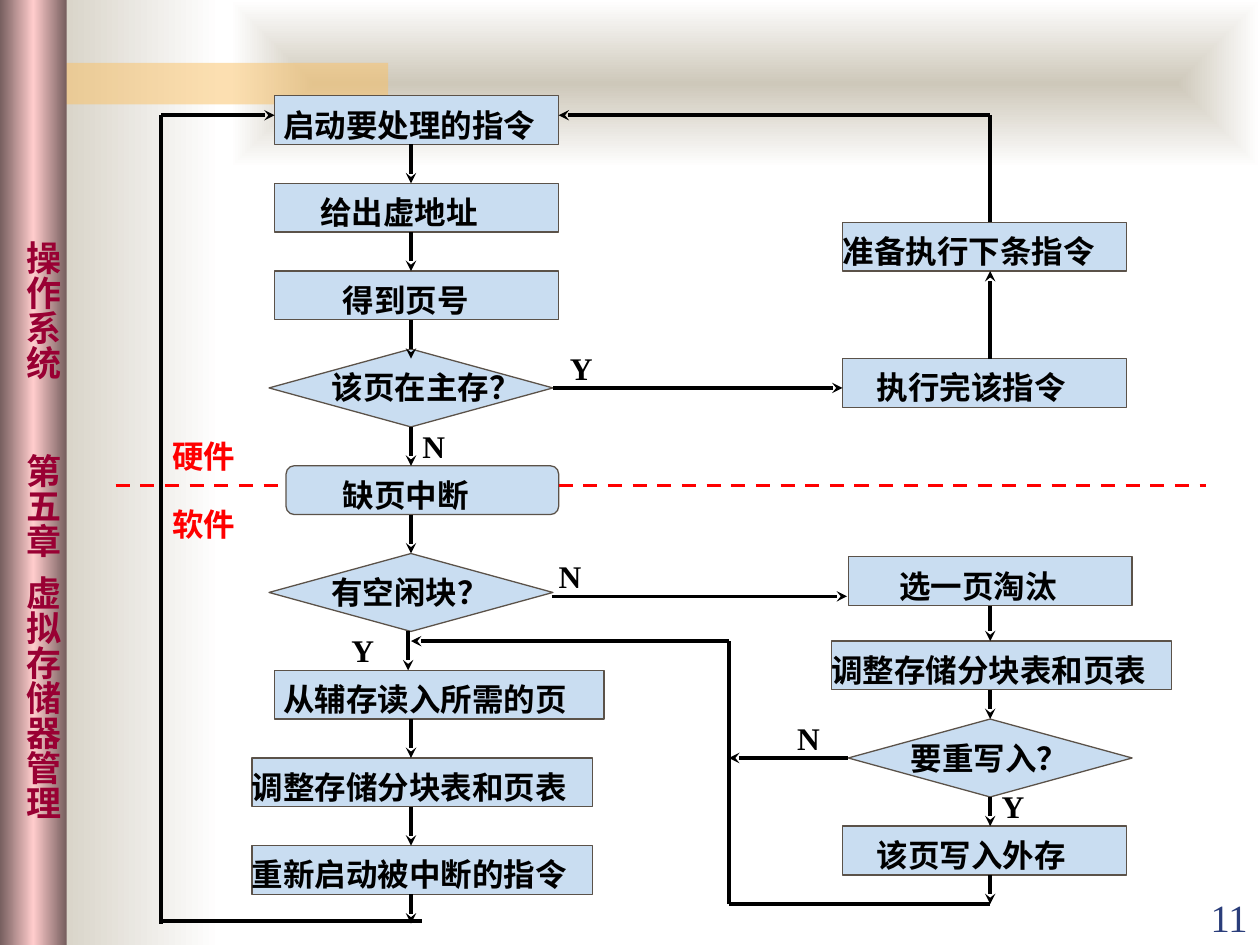
from lxml import etree
from pptx import Presentation
from pptx.dml.color import RGBColor
from pptx.enum.dml import MSO_LINE
from pptx.enum.shapes import MSO_CONNECTOR, MSO_SHAPE
from pptx.enum.text import MSO_ANCHOR, PP_ALIGN
from pptx.oxml.ns import qn
from pptx.util import Inches, Pt

WIDTH, HEIGHT = 10, 7.5
LEFT, TOP = 2, 0.76
COLUMN, ROW = 6.76 / 75, 6.57 / 85
BOX_ROWS, DIAMOND_ROWS = 5, 8
PROCESS = MSO_SHAPE.FLOWCHART_PROCESS
DECISION = MSO_SHAPE.FLOWCHART_DECISION
ALTERNATE = MSO_SHAPE.FLOWCHART_ALTERNATE_PROCESS
RECTANGLE = MSO_SHAPE.RECTANGLE
STRAIGHT = MSO_CONNECTOR.STRAIGHT
DASH = MSO_LINE.DASH
ANCHOR_TOP, ANCHOR_BOTTOM = MSO_ANCHOR.TOP, MSO_ANCHOR.BOTTOM
ALIGN_LEFT, ALIGN_RIGHT = PP_ALIGN.LEFT, PP_ALIGN.RIGHT
SITE_TOP, SITE_LEFT, SITE_BOTTOM, SITE_RIGHT = range(4)
SERIF, EAST_ASIAN = "Times New Roman", "Noto Sans CJK SC"
BLACK, RED, BLUE, BROWN = "000000", "FF0000", "C9DDF1", "5B5249"
LABEL_FORMAT = {"size": Pt(18), "name": SERIF, "bold": True}
SIDEBAR_FORMAT = {"size": Pt(20), "name": EAST_ASIAN, "bold": True}
NUMBER_FORMAT = {"size": Pt(22), "name": SERIF}

NODES = [
    ("start", PROCESS, 2, 0, 25, "启动要处理的指令", 2.75),
    ("address", PROCESS, 2, 9, 25, "给出虚地址", 6),
    ("page", PROCESS, 2, 18, 25, "得到页号", 8),
    ("in_memory", DECISION, 1.5, 26, 25, "该页在主存？", 7),
    ("fault", ALTERNATE, 3, 38, 24, "缺页中断", 8),
    ("free_block", DECISION, 1.5, 47, 25, "有空闲块？", 7),
    ("read_page", PROCESS, 2, 59, 29, "从辅存读入所需的页", 2.75),
    ("update_tables", PROCESS, 0, 68, 30, "调整存储分块表和页表", 0),
    ("restart", PROCESS, 0, 77, 30, "重新启动被中断的指令", 0),
    ("next", PROCESS, 52, 13, 25, "准备执行下条指令", 52),
    ("execute", PROCESS, 52, 27, 25, "执行完该指令", 55),
    ("evict", PROCESS, 52.5, 47.35, 25, "选一页淘汰", 57),
    ("evict_tables", PROCESS, 51, 56, 30, "调整存储分块表和页表", 51),
    ("rewrite", DECISION, 52.5, 64, 25, "要重写入？", 58),
    ("write_out", PROCESS, 52, 75, 25, "该页写入外存", 55),
]

ARROWS = [
    ((-8, 2), (2, 2)),
    ((14, 5), (14, 9)),
    ((14, 14), (14, 18)),
    ((14, 23), (14, 27)),
    (("in_memory", SITE_BOTTOM), (14, 38)),
    ((14, 43), ("free_block", SITE_TOP)),
    ((13.75, 55), (13.75, 59)),
    ((14, 64), (14, 68)),
    ((14, 73), (14, 77)),
    ((14, 82), (14, 85)),
    (("in_memory", SITE_RIGHT), (52, 30)),
    ((65, 27), (65, 18)),
    ((65, 2), (27, 2)),
    ((26.4, 51.4), (52.4, 51.4)),
    (("evict", SITE_BOTTOM), (65, 56)),
    ((65, 61), ("rewrite", SITE_TOP)),
    (("rewrite", SITE_LEFT), (42, 68)),
    (("rewrite", SITE_BOTTOM), (65, 75)),
    ((65, 80), (65, 83)),
    ((42, 56), (14, 56)),
]

LINES = [
    ((-8, 84.75), (15, 84.75)),
    ((-8, 85), (-8, 2)),
    ((65, 13), (65, 2)),
    ((42, 83), (65, 83)),
    ((42, 83), (42, 56)),
]

BORDERS = [((-12, 40), (3, 40)), ((27, 40), (84, 40))]

LABELS = [
    ("Y", 28, 26, BLACK), ("N", 15, 34, BLACK), ("Y", 8.75, 55, BLACK),
    ("N", 27, 47.35, BLACK), ("N", 48, 64, BLACK), ("Y", 66, 71, BLACK),
    ("硬件", -7, 35, RED), ("软件", -7, 42, RED),
]


def color(value):
    return RGBColor.from_string(value)


def grid(column, row):
    return Inches(LEFT + column * COLUMN), Inches(TOP + row * ROW)


def set_values(target, values):
    for name, value in values.items():
        setattr(target, name, value)


def write(shape, text, font_color, font_format, align=ALIGN_LEFT,
          anchor=ANCHOR_TOP, insets=(0, 0, 0, 0)):
    frame = shape.text_frame
    sides = ("margin_left", "margin_top", "margin_right", "margin_bottom")
    set_values(frame, dict(zip(sides, map(Inches, insets))))
    set_values(frame, {"word_wrap": True, "vertical_anchor": anchor})
    paragraph = frame.paragraphs[0]
    paragraph.alignment = align
    run = paragraph.add_run()
    run.text = text
    set_values(run.font, font_format)
    run.font.color.rgb = color(font_color)
    etree.SubElement(run.font._element, qn("a:ea"), typeface=EAST_ASIAN)
    return frame


def add_band(slide, left, top, width, height, fill, alpha=None):
    shape = slide.shapes.add_shape(RECTANGLE, *map(Inches, (left, top, width, height)))
    shape.shadow.inherit = False
    shape.line.fill.background()
    shape.fill.solid()
    shape.fill.fore_color.rgb = color(fill)
    if alpha:
        tint = shape._element.spPr.find(".//" + qn("a:srgbClr"))
        etree.SubElement(tint, qn("a:alpha"), val=str(alpha * 1000))
    return shape


def set_gradient(shape, stops, centered=False):
    properties = shape._element.spPr
    gradient = etree.Element(qn("a:gradFill"), rotWithShape="1")
    stop_list = etree.SubElement(gradient, qn("a:gsLst"))
    for position, value in stops:
        stop = etree.SubElement(stop_list, qn("a:gs"), pos=str(position * 1000))
        etree.SubElement(stop, qn("a:srgbClr"), val=value)
    if centered:
        spread = etree.SubElement(gradient, qn("a:path"), path="rect")
        sides = dict.fromkeys("ltrb", "50000")
        etree.SubElement(spread, qn("a:fillToRect"), **sides)
    else:
        etree.SubElement(gradient, qn("a:lin"), ang="0", scaled="1")
    properties.replace(properties.find(qn("a:solidFill")), gradient)


def add_sidebar_text(shape):
    frame = write(shape, "操作系统\t第五章\t虚拟存储器管理", "990033",
                  SIDEBAR_FORMAT, insets=(0.05, 1.91, 0.02, 0.1))
    frame._txBody.bodyPr.set("vert", "eaVert")
    properties = frame.paragraphs[0]._p.get_or_add_pPr()
    tabs = etree.SubElement(properties, qn("a:tabLst"))
    for position in (1.69, 2.66):
        etree.SubElement(tabs, qn("a:tab"), pos=str(Inches(position)), algn="l")


def add_background(slide):
    fade = [(0, "CEC8BA"), (100, "FFFFFF")]
    set_gradient(add_band(slide, 0.17, 0, 1.58, HEIGHT, "FFFFFF"), fade)
    set_gradient(add_band(slide, 1.83, 0, 8.17, 1.33, "FFFFFF"), fade, centered=True)
    add_band(slide, 0.33, 0.5, 2.75, 0.33, "FAC164", alpha=50)
    sidebar = add_band(slide, 0, 0, 0.53, HEIGHT, "FFCCCC")
    set_gradient(sidebar, [(0, "765E5E"), (50, "FFCCCC"), (100, "765E5E")])
    add_sidebar_text(sidebar)


def add_label(slide, text, column, row, font_color=BLACK):
    width = Inches(max(4, 3 * len(text)) * COLUMN)
    box = slide.shapes.add_textbox(*grid(column, row), width, Inches(4 * ROW))
    write(box, text, font_color, LABEL_FORMAT)


def add_node(slide, kind, column, row, columns, text, text_column):
    rows = DIAMOND_ROWS if kind == DECISION else BOX_ROWS
    size = Inches(columns * COLUMN), Inches(rows * ROW)
    shape = slide.shapes.add_shape(kind, *grid(column, row), *size)
    shape.shadow.inherit = False
    shape.fill.solid()
    shape.fill.fore_color.rgb = color(BLUE)
    shape.line.color.rgb = color(BROWN)
    shape.line.width = Pt(0.75)
    add_label(slide, text, text_column, row + (2 if kind == DECISION else 1))
    return shape


def add_line(slide, nodes, start, end, line_color=BLACK, dash=None, arrow=False):
    points = [(0, 0) if point[0] in nodes else grid(*point) for point in (start, end)]
    connector = slide.shapes.add_connector(STRAIGHT, *points[0], *points[1])
    for point, connect in ((start, connector.begin_connect), (end, connector.end_connect)):
        if point[0] in nodes:
            connect(nodes[point[0]], point[1])
    connector.line.color.rgb = color(line_color)
    set_values(connector.line, {"width": Pt(2), "dash_style": dash})
    properties = connector._element.spPr
    if arrow:
        etree.SubElement(properties.find(qn("a:ln")), qn("a:tailEnd"), type="stealth")
    etree.SubElement(properties, qn("a:effectLst"))


def main():
    presentation = Presentation()
    set_values(presentation, {"slide_width": Inches(WIDTH), "slide_height": Inches(HEIGHT)})
    slide = presentation.slides.add_slide(presentation.slide_layouts[6])
    add_background(slide)
    nodes = {name: add_node(slide, *node) for name, *node in NODES}
    for start, end in LINES:
        add_line(slide, nodes, start, end)
    for start, end in ARROWS:
        add_line(slide, nodes, start, end, arrow=True)
    for start, end in BORDERS:
        add_line(slide, nodes, start, end, RED, DASH)
    for label in LABELS:
        add_label(slide, *label)
    number = slide.shapes.add_textbox(*map(Inches, (9, 7.01, 1, 0.5)))
    write(number, "11", "2A3D7A", NUMBER_FORMAT, ALIGN_RIGHT, ANCHOR_BOTTOM,
          (0.1, 0.05, 0.1, 0.05))
    presentation.save("out.pptx")


if __name__ == "__main__":
    main()
